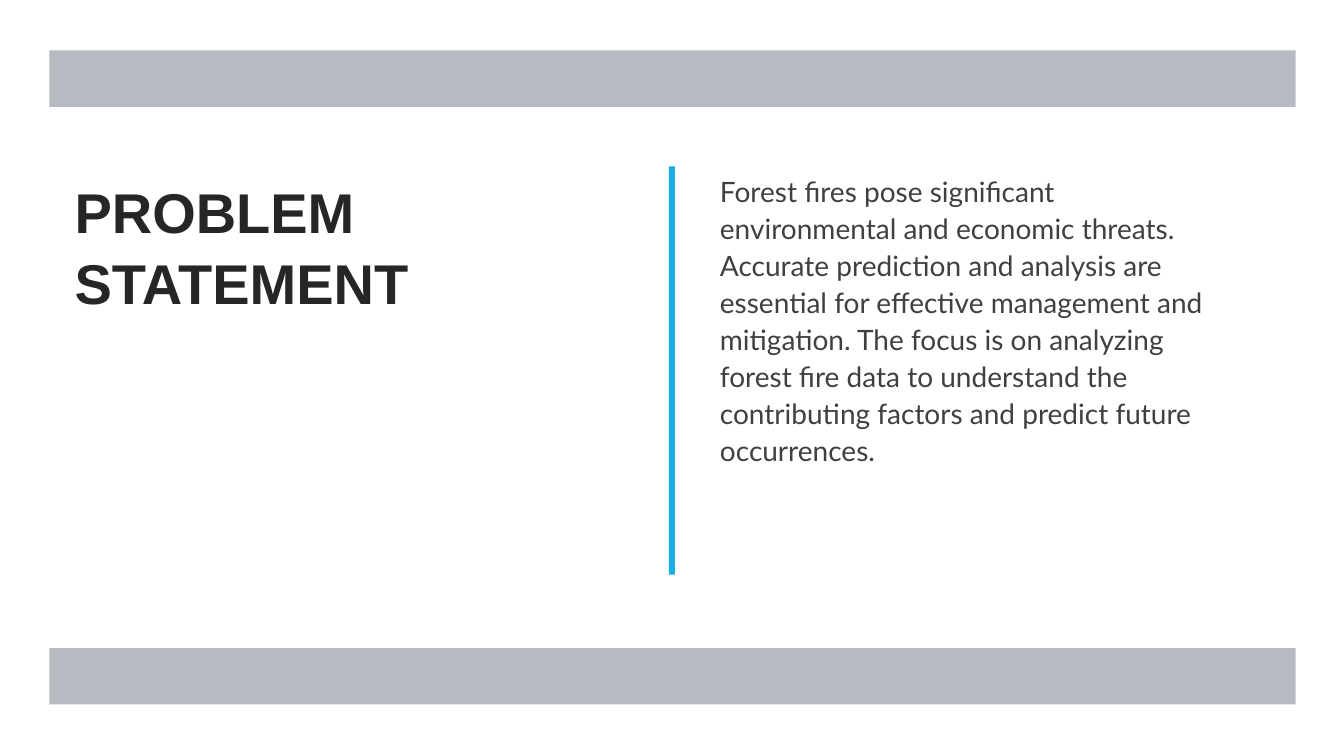
"""Build the problem statement slide."""
from lxml.etree import SubElement
from pptx import Presentation
from pptx.dml.color import RGBColor
from pptx.enum.shapes import MSO_SHAPE
from pptx.enum.text import MSO_ANCHOR, MSO_AUTO_SIZE, PP_ALIGN
from pptx.oxml.ns import qn
from pptx.util import Inches, Pt

TITLE = "PROBLEM STATEMENT"
STATEMENT = (
    "Forest fires pose significant environmental and economic threats. "
    "Accurate prediction and analysis are essential for effective management "
    "and mitigation. The focus is on analyzing forest fire data to understand "
    "the contributing factors and predict future occurrences."
)
SLIDE_WIDTH, SLIDE_HEIGHT = 13.33, 7.5
CONTENT_TOP, CONTENT_HEIGHT = 1.65, 4.27
BAR_LEFT, BAR_WIDTH, BAR_HEIGHT = 0.49, 12.36, 0.56
BAR_TOPS = (0.5, 6.43)
DIVIDER_WIDTH, DIVIDER_HEIGHT = 0.06, 4.05


def color(hex_string):
    return RGBColor.from_string(hex_string)


def add_rectangle(slide, left, top, width, height, fill, opacity=100):
    shape = slide.shapes.add_shape(
        MSO_SHAPE.RECTANGLE, Inches(left), Inches(top), Inches(width), Inches(height)
    )
    shape.shadow.inherit = False
    shape.fill.solid()
    shape.fill.fore_color.rgb = color(fill)
    shape.line.fill.background()
    if opacity < 100:
        fill_color = shape.fill._xPr.find(qn("a:solidFill"))[0]
        SubElement(fill_color, qn("a:alpha"), val=str(opacity * 1000))


def fill_placeholder(shape, text, left, width, font_name, size, hex_color, bold, spacing):
    shape.left, shape.top = Inches(left), Inches(CONTENT_TOP)
    shape.width, shape.height = Inches(width), Inches(CONTENT_HEIGHT)
    text_frame = shape.text_frame
    text_frame.text = text
    text_frame.word_wrap = True
    text_frame.auto_size = MSO_AUTO_SIZE.NONE
    text_frame.vertical_anchor = MSO_ANCHOR.TOP
    paragraph = text_frame.paragraphs[0]
    paragraph.alignment = PP_ALIGN.LEFT
    paragraph.line_spacing = spacing
    paragraph.space_before = Pt(0)
    properties = paragraph._p.get_or_add_pPr()
    properties.set("marL", "0")
    properties.set("indent", "0")
    SubElement(properties, qn("a:buNone"))
    font = paragraph.runs[0].font
    font.name, font.size, font.bold = font_name, Pt(size), bold
    font.color.rgb = color(hex_color)


def main():
    presentation = Presentation()
    presentation.slide_width = Inches(SLIDE_WIDTH)
    presentation.slide_height = Inches(SLIDE_HEIGHT)
    slide = presentation.slides.add_slide(presentation.slide_layouts[1])
    slide.background.fill.solid()
    slide.background.fill.fore_color.rgb = color("FFFFFF")

    title, body = slide.shapes.title, slide.placeholders[1]
    fill_placeholder(title, TITLE, 0.64, 5.6, "Arial", 40, "262626", True, 1.05)
    title.text_frame.margin_top = Inches(0.08)
    fill_placeholder(body, STATEMENT, 7.04, 5.27, "Lato", 20, "404040", False, 1.1)

    for top in BAR_TOPS:
        add_rectangle(slide, BAR_LEFT, top, BAR_WIDTH, BAR_HEIGHT, "969FA7", 70)
    divider_left = (SLIDE_WIDTH - DIVIDER_WIDTH) / 2
    add_rectangle(slide, divider_left, CONTENT_TOP, DIVIDER_WIDTH, DIVIDER_HEIGHT, "1CADE4")
    presentation.save("out.pptx")


if __name__ == "__main__":
    main()
